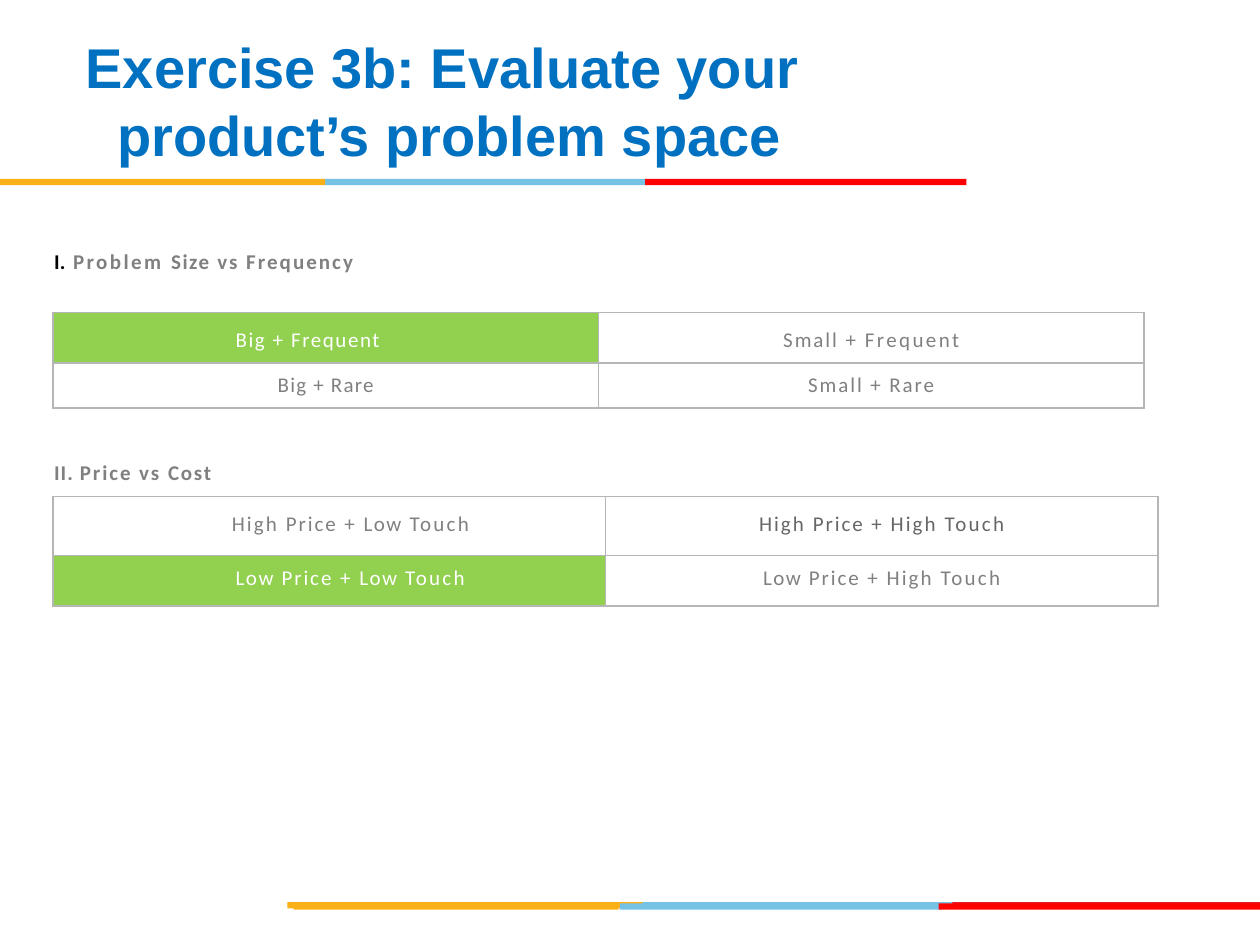
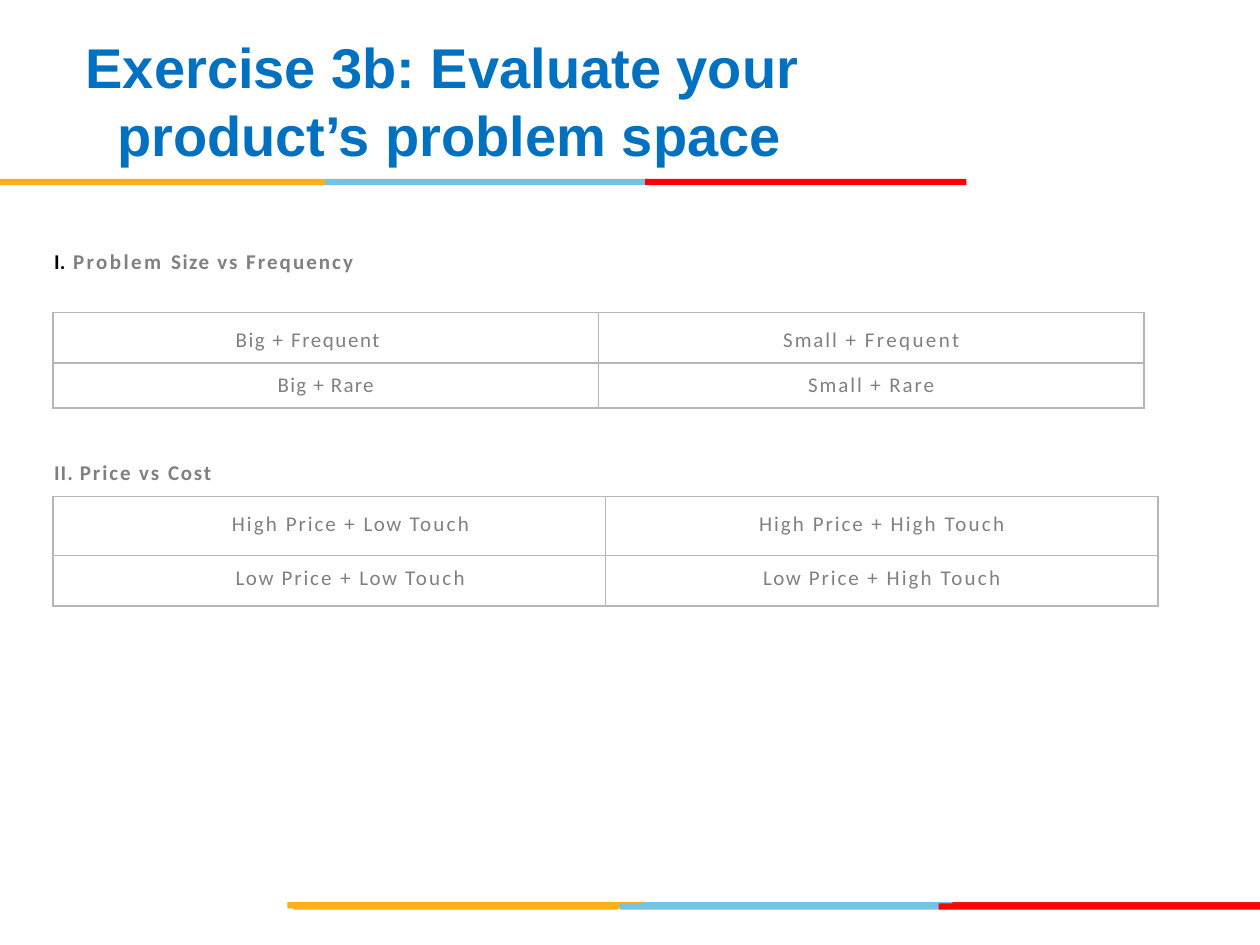
from pptx import Presentation
from pptx import util as u
from pptx.dml.color import RGBColor
from pptx.enum import shapes, text
from pptx.oxml import parse_xml
from pptx.oxml.ns import nsdecls

BLUE, GREY, DARK, WHITE = "0070C0", "808080", "666666", "FFFFFF"
GREEN, BORDER = "92D050", "B6B6B6"
AMBER, SKY, CRIMSON, RED = "FCB017", "76C2E5", "E31C24", "FF0000"
LEFT = 0.42  # left edge of headings and tables

# Coloured bands: left, top, width, colour
BANDS = [
    (5.06, 7.16, 2.55, SKY), (7.56, 7.16, 2.44, CRIMSON), (2.28, 7.16, 2.82, AMBER),
    (4.92, 7.17, 2.55, SKY), (2.33, 7.17, 2.58, AMBER), (7.45, 7.17, 2.55, RED),
    (2.58, 1.42, 2.55, SKY), (0, 1.42, 2.58, AMBER), (5.12, 1.42, 2.55, RED),
]

# Headings: top, width, spans of (text, letter spacing), paragraph format
HEADINGS = [
    (1.96, 3.45,
     [("Problem ", 1.4), ("Size ", 0.9), ("vs ", 1.1), ("Frequency", 1.2)],
     dict(margin=0.16, indent=-0.15, numbered=True)),
    (3.64, 1.28, [("II. ", 0.6), ("Price vs ", 1.1), ("Cost", 1)],
     dict(margin=0.01, before=1)),
]

# Tables: each cell is (spans, left indent or None for centred, space before)
LEVEL = {"High": 1.2, "Low": 0.9}
size_cells = [
    [([("Big + Frequent", 0.9)], 1.45, 5.9),
     ([("Small + ", 1.1), ("Frequent", 1.4)], None, 8.6)],
    [([("Big + Rare", 0.7)], None, 8.6), ([("Small + Rare", 1.1)], None, 5.9)],
]
price_cells = [
    [([(price + " ", LEVEL[price]), ("Price + ", 1.1),
       (touch + " ", LEVEL[touch]), ("Touch", 1.3)],
      indent if touch == "Low" else None, before)
     for touch in ("Low", "High")]
    for price, indent, before in (("High", 1.42, 8.6), ("Low", 1.45, 5.9))
]
TABLES = [  # name, top, column width, row heights, cells
    ("size", 2.48, 4.33, (0.4, 0.36), size_cells),
    ("price", 3.94, 4.385, (0.47, 0.4), price_cells),
]
CELL_TOPS = (0.12, 0.08)

# Cells that differ on each slide: (table, row, column) -> text colour, fill
ANSWERED = {
    ("size", 0, 0): (WHITE, GREEN),
    ("price", 0, 1): (DARK, None),
    ("price", 1, 0): (WHITE, GREEN),
}
SLIDES = [ANSWERED, {}]


def color(value):
    return RGBColor.from_string(value)


def write(frame, spans, size=12, font="Calibri", fill=GREY, bold=False, align="LEFT",
          margin=0, indent=0, before=0, insets=(0, 0, 0, 0), numbered=False):
    frame.word_wrap = True
    (frame.margin_left, frame.margin_top,
     frame.margin_right, frame.margin_bottom) = map(u.Inches, insets)
    para = frame.paragraphs[0]
    para.alignment = getattr(text.PP_ALIGN, align)
    para.space_before = u.Pt(before)
    props = para._p.get_or_add_pPr()
    props.set("marL", str(u.Inches(margin)))
    props.set("indent", str(u.Inches(indent)))
    if numbered:
        props.append(parse_xml(
            f'<a:buClr {nsdecls("a")}><a:srgbClr val="000000"/></a:buClr>'))
        props.append(parse_xml(
            f'<a:buFont {nsdecls("a")} typeface="{font}"/>'))
        props.append(parse_xml(
            f'<a:buAutoNum {nsdecls("a")} type="romanUcPeriod"/>'))
    for words, spacing in spans:
        span = para.add_run()
        span.text = words
        span.font.size, span.font.name, span.font.bold = u.Pt(size), font, bold
        span.font.color.rgb = color(fill)
        span._r.get_or_add_rPr().set("spc", str(round(spacing * 100)))


deck = Presentation()
deck.slide_width, deck.slide_height = u.Inches(10), u.Inches(7.5)

for marked in SLIDES:
    page = deck.slides.add_slide(deck.slide_layouts[5])

    # Bands above the content and at the foot
    for left, top, width, shade in BANDS:
        band = page.shapes.add_shape(
            shapes.MSO_SHAPE.RECTANGLE, *map(u.Inches, (left, top, width, 0.05)))
        band.shadow.inherit = False
        band.fill.solid()
        band.fill.fore_color.rgb = color(shade)
        band.line.fill.background()

    # Title
    title = page.shapes.title
    title.left, title.top, title.width, title.height = map(
        u.Inches, (0.33, 0.17, 6.92, 1.25))
    title.text_frame.auto_size = text.MSO_AUTO_SIZE.NONE
    title.text_frame.vertical_anchor = text.MSO_ANCHOR.MIDDLE
    write(title.text_frame, [("Exercise 3b: Evaluate your product’s problem space", 0)],
          size=32, font="Arial", fill=BLUE, bold=True, margin=0.5, indent=-0.25,
          insets=(0.1, 0.05, 0.1, 0.05))

    # Tables
    for name, top, column_width, heights, cells in TABLES:
        table = page.shapes.add_table(2, 2, *map(
            u.Inches, (LEFT, top, 2 * column_width, sum(heights)))).table
        table.first_row = table.horz_banding = False
        for column in table.columns:
            column.width = u.Inches(column_width)
        for r, height in enumerate(heights):
            table.rows[r].height = u.Inches(height)
            for c, (spans, indent, before) in enumerate(cells[r]):
                cell = table.cell(r, c)
                ink, shade = marked.get((name, r, c), (GREY, None))
                write(cell.text_frame, spans, fill=ink, margin=indent or 0,
                      align="LEFT" if indent else "CENTER", before=before)
                cell.margin_left = cell.margin_right = cell.margin_bottom = 0
                cell.margin_top = u.Inches(CELL_TOPS[r])
                borders = cell._tc.get_or_add_tcPr()
                for side in ("lnL", "lnR", "lnT", "lnB"):
                    borders.append(parse_xml(
                        f'<a:{side} {nsdecls("a")} w="{u.Pt(1)}"><a:solidFill>'
                        f'<a:srgbClr val="{BORDER}"/></a:solidFill></a:{side}>'))
                if shade:
                    cell.fill.solid()
                    cell.fill.fore_color.rgb = color(shade)
                else:
                    cell.fill.background()

    # Headings
    for top, width, spans, layout in HEADINGS:
        box = page.shapes.add_textbox(*map(u.Inches, (LEFT, top, width, 0.22)))
        write(box.text_frame, spans, bold=True, insets=(0, 0.01, 0, 0), **layout)

deck.save("out.pptx")
